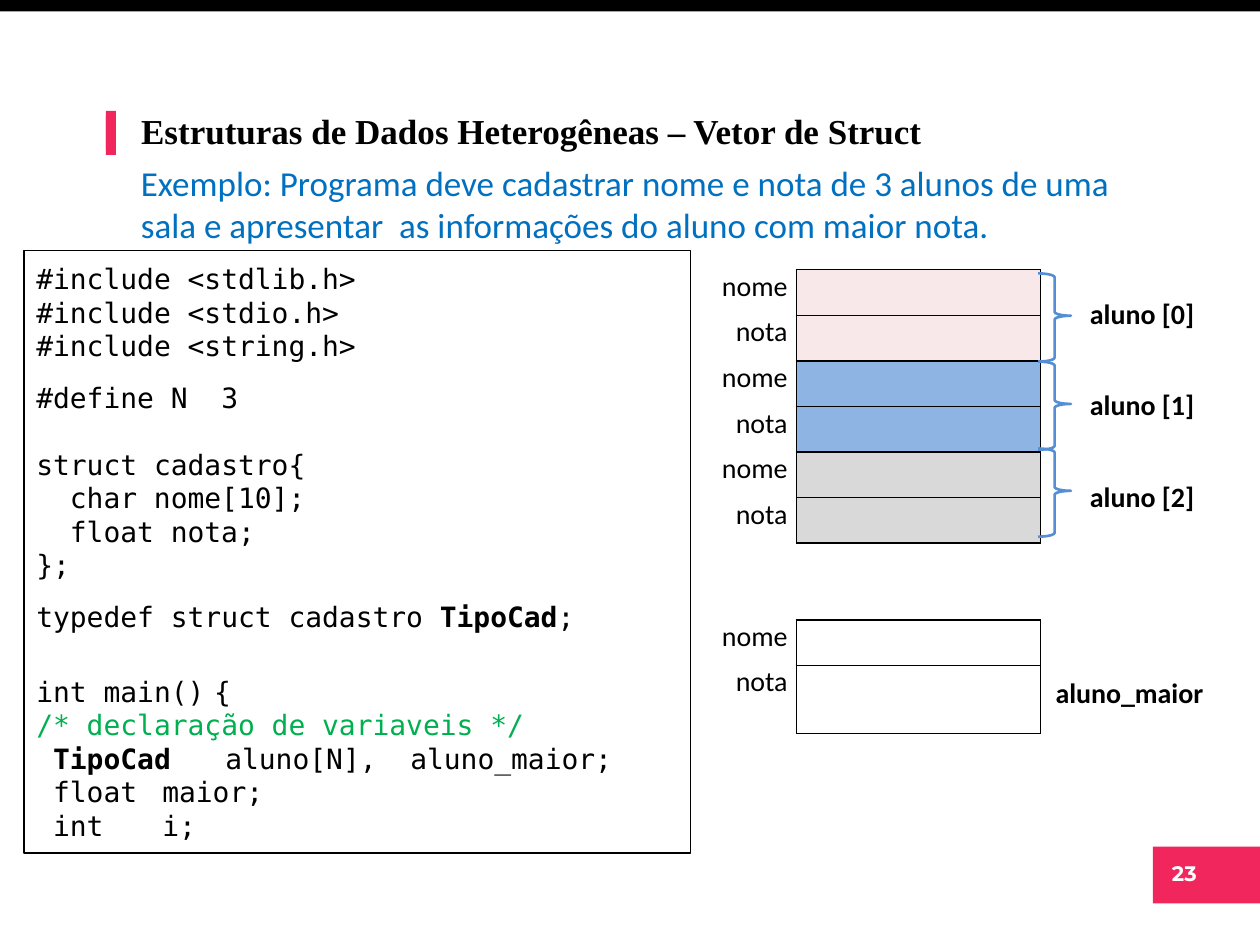
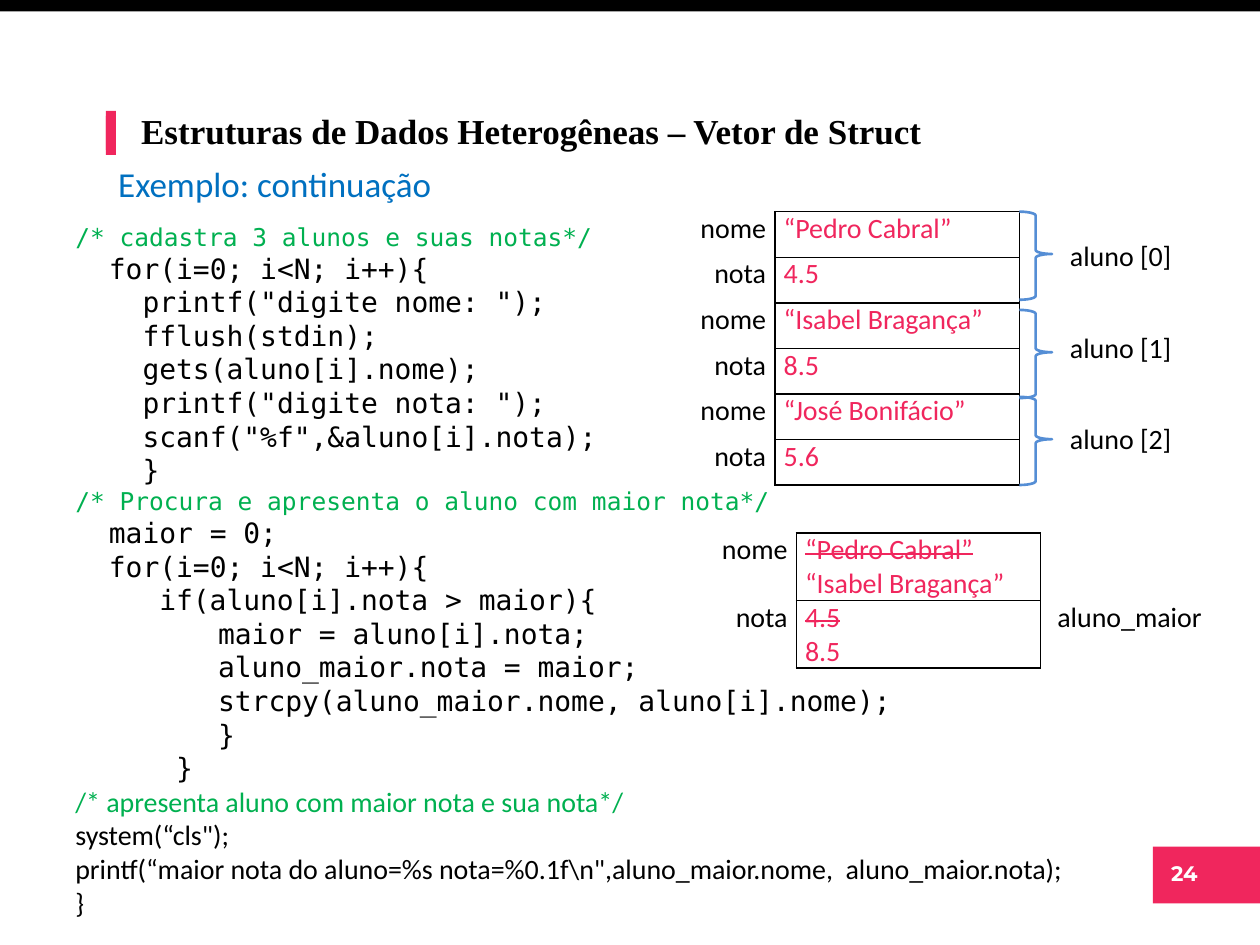
import dataclasses
import typing

import lxml.etree
import pptx
import pptx.dml.color
import pptx.enum.shapes
import pptx.enum.text
import pptx.oxml.ns
import pptx.util

ALIGN = pptx.enum.text.PP_ALIGN
ANCHOR = pptx.enum.text.MSO_ANCHOR
SHAPE = pptx.enum.shapes.MSO_SHAPE
COLORS = {
    "black": "000000", "white": "FFFFFF", "accent": "F0265D", "example": "0070C0",
    "comment": "00B050", "brace": "558ED5", "rose": "F9E8EA", "blue": "8EB4E3", "gray": "D9D9D9",
}
MONO, SANS, SERIF, NUMERAL = "DejaVu Sans Mono", "Calibri", "Times New Roman", "Montserrat"
TITLE = "Estruturas de Dados Heterogêneas – Vetor de Struct"
PLAIN_TABLE = "{2D5ABB26-0587-4C30-8999-92F81FD0307C}"
GRID_COLS, GRID_ROWS = 100, 75
SLIDE_WIDTH, SLIDE_HEIGHT = pptx.util.Inches(10), pptx.util.Inches(7.5)
CHAR_WIDTH = 0.6 * 16
DECLARATION_TAB = 10
FIELD_COLS = (8.4, 19.4, 14.1)
BRACE_COLS, BRACE_ROWS = 2.6, 7
SIDE_MARGIN, TAG_MARGIN, LINE_MARGIN = 0.7, 2.7, 2.7


@dataclasses.dataclass(frozen=True)
class Box:
    col: float
    row: float
    cols: float
    rows: float

    def place(self) -> tuple[int, int, int, int]:
        return across(self.col), down(self.row), across(self.cols), down(self.rows)


@dataclasses.dataclass(frozen=True)
class Style:
    font: str
    size: float = 16
    color: str = "black"
    bold: bool = False
    strike: bool = False


@dataclasses.dataclass(frozen=True)
class Piece:
    text: str
    style: Style


@dataclasses.dataclass(frozen=True)
class Line:
    pieces: tuple[Piece, ...]
    indent: float = 0
    gap: float = 0
    tab: float = 0


@dataclasses.dataclass(frozen=True)
class Record:
    tag: str
    name: tuple[Line, ...] = ()
    grade: tuple[Line, ...] = ()
    fill: str = ""


@dataclasses.dataclass(frozen=True)
class RecordTable:
    col: float
    row: float
    row_height: tuple[float, ...]
    records: tuple[Record, ...]
    tag_style: Style
    tag_lowered: bool = False


CODE = Style(MONO)
CODE_BOLD = Style(MONO, bold=True)
COMMENT = Style(MONO, color="comment")
SMALL_COMMENT = Style(MONO, 14, "comment")
LABEL = Style(SANS)
LABEL_BOLD = Style(SANS, bold=True)
VALUE = Style(SANS, color="accent")
OLD_VALUE = Style(SANS, color="accent", strike=True)
EXAMPLE = Style(SANS, 20, "example")


def across(cols: float) -> int:
    return round(SLIDE_WIDTH * cols / GRID_COLS)


def down(rows: float) -> int:
    return round(SLIDE_HEIGHT * rows / GRID_ROWS)


def rgb(name: str) -> pptx.dml.color.RGBColor:
    return pptx.dml.color.RGBColor.from_string(COLORS[name])


def line(text: str, style: Style = CODE, indent: float = 0, gap: float = 0) -> Line:
    return Line((Piece(text, style),), indent, gap)


def declaration(kind: str, names: str, style: Style = CODE) -> Line:
    pieces = (Piece(f" {kind}", style), Piece(f"\t{names}", CODE))
    return Line(pieces, tab=DECLARATION_TAB)


DECLARATIONS = (
    line("#include <stdlib.h>"),
    line("#include <stdio.h>"),
    line("#include <string.h>"),
    line("#define N  3", gap=10.5),
    line("struct cadastro{", gap=18.6),
    line("char nome[10];", indent=2),
    line("float nota;", indent=2),
    line("};"),
    Line((Piece("typedef struct cadastro ", CODE), Piece("TipoCad", CODE_BOLD), Piece(";", CODE)), gap=10.5),
    Line((Piece("int main()", CODE), Piece(" ", Style(MONO, 9)), Piece("{", CODE)), gap=23.3),
    line("/* declaração de variaveis */", COMMENT),
    declaration("TipoCad", "aluno[N],  aluno_maior;", CODE_BOLD),
    declaration("float", "maior;"),
    declaration("int", "i;"),
)
PROGRAM = (
    line("/* cadastra 3 alunos e suas notas*/", SMALL_COMMENT),
    line("for(i=0; i<N; i++){", indent=2),
    line('printf("digite nome: ");', indent=4),
    line("fflush(stdin);", indent=4),
    line("gets(aluno[i].nome);", indent=4),
    line('printf("digite nota: ");', indent=4),
    line('scanf("%f",&aluno[i].nota);', indent=4),
    line("}", indent=4),
    line("/* Procura e apresenta o aluno com maior nota*/", SMALL_COMMENT),
    line("maior = 0;", indent=2),
    line("for(i=0; i<N; i++){", indent=2),
    line("if(aluno[i].nota > maior){", indent=5),
    line("maior = aluno[i].nota;", indent=8.5),
    line("aluno_maior.nota = maior;", indent=8.5),
    line("strcpy(aluno_maior.nome, aluno[i].nome);", indent=8.5),
    line("}", indent=8.5),
    line("}", indent=6),
    line("/* apresenta aluno com maior nota e sua nota*/", Style(SANS, color="comment")),
    line('system(“cls");', LABEL),
    line('printf(“maior nota do aluno=%s nota=%0.1f\\n",aluno_maior.nome,  aluno_maior.nota);', LABEL),
    line("}", LABEL),
)
EMPTY_RECORDS = tuple(Record(f"aluno [{i}]", fill=fill) for i, fill in enumerate(("rose", "blue", "gray")))
STUDENTS = (("“Pedro Cabral”", "4.5"), ("“Isabel Bragança”", "8.5"), ("“José Bonifácio”", "5.6"))
FILLED_RECORDS = tuple(
    Record(f"aluno [{i}]", (line(name, VALUE),), (line(grade, VALUE),)) for i, (name, grade) in enumerate(STUDENTS)
)
BEST_RECORD = Record("aluno_maior", *(
    (line(old, OLD_VALUE), line(new, VALUE)) for old, new in zip(STUDENTS[0], STUDENTS[1])
))


def format_span(span: typing.Any, style: Style) -> None:
    span.font.name = style.font
    span.font.size = pptx.util.Pt(style.size)
    span.font.bold = style.bold
    span.font.color.rgb = rgb(style.color)
    if style.strike:
        span._r.get_or_add_rPr().set("strike", "sngStrike")


def write(frame: typing.Any, lines: tuple[Line, ...], align: typing.Any = ALIGN.LEFT) -> None:
    for index, item in enumerate(lines):
        para = frame.paragraphs[0] if index == 0 else frame.add_paragraph()
        para.alignment = align
        para.space_before = pptx.util.Pt(item.gap)
        properties = para._p.get_or_add_pPr()
        properties.set("marL", str(pptx.util.Pt(item.indent * CHAR_WIDTH)))
        properties.set("indent", "0")
        if item.tab:
            tabs = lxml.etree.SubElement(properties, pptx.oxml.ns.qn("a:tabLst"))
            stop = str(pptx.util.Pt(item.tab * CHAR_WIDTH))
            lxml.etree.SubElement(tabs, pptx.oxml.ns.qn("a:tab"), pos=stop, algn="l")
        for piece in item.pieces:
            span = para.add_run()
            span.text = piece.text
            format_span(span, piece.style)


def add_shape(page: typing.Any, kind: typing.Any, box: Box, fill: str = "", edge: str = "", width: float = 0) -> typing.Any:
    shape = page.shapes.add_shape(kind, *box.place())
    shape.shadow.inherit = False
    if fill:
        shape.fill.solid()
        shape.fill.fore_color.rgb = rgb(fill)
    else:
        shape.fill.background()
    if edge:
        shape.line.color.rgb = rgb(edge)
        shape.line.width = pptx.util.Pt(width)
    else:
        shape.line.fill.background()
    return shape


def add_text(page: typing.Any, box: Box, lines: tuple[Line, ...], anchor: typing.Any = ANCHOR.MIDDLE,
             align: typing.Any = ALIGN.LEFT, wrap: bool = True) -> None:
    frame = page.shapes.add_textbox(*box.place()).text_frame
    frame.word_wrap = wrap
    frame.vertical_anchor = anchor
    write(frame, lines, align)


def set_borders(cell: typing.Any, sides: str) -> None:
    properties = cell._tc.get_or_add_tcPr()
    for side in sides:
        edge = lxml.etree.SubElement(properties, pptx.oxml.ns.qn(f"a:ln{side}"), w=str(pptx.util.Pt(1)))
        paint = lxml.etree.SubElement(edge, pptx.oxml.ns.qn("a:solidFill"))
        lxml.etree.SubElement(paint, pptx.oxml.ns.qn("a:srgbClr"), val=COLORS["black"])


def add_records(page: typing.Any, plan: RecordTable) -> None:
    count = 2 * len(plan.records)
    box = Box(plan.col, plan.row, sum(FIELD_COLS), sum(plan.row_height) * len(plan.records))
    frame = page.shapes.add_table(count, len(FIELD_COLS), *box.place())
    table = frame.table
    table.first_row = table.horz_banding = False
    table._tbl.tblPr.find(pptx.oxml.ns.qn("a:tableStyleId")).text = PLAIN_TABLE
    for column, width in zip(table.columns, FIELD_COLS):
        column.width = across(width)
    for index in range(count):
        record = plan.records[index // 2]
        table.rows[index].height = down(plan.row_height[index % 2])
        cells = [table.cell(index, column) for column in range(len(FIELD_COLS))]
        for cell, sides in zip(cells, ("R", "LRTB", "L")):
            cell.margin_left = cell.margin_right = across(SIDE_MARGIN)
            cell.margin_top = cell.margin_bottom = 0
            set_borders(cell, sides)
            cell.fill.background()
        label, value, tag = cells
        write(label.text_frame, (line(("nome", "nota")[index % 2], LABEL),), ALIGN.RIGHT)
        write(value.text_frame, (record.name, record.grade)[index % 2], ALIGN.JUSTIFY)
        if record.fill:
            value.fill.solid()
            value.fill.fore_color.rgb = rgb(record.fill)
        if index % 2 == 0:
            tag.merge(table.cell(index + 1, 2))
            tag.vertical_anchor = ANCHOR.MIDDLE
            if plan.tag_lowered:
                tag.margin_top = down(LINE_MARGIN)
            else:
                tag.margin_left = across(TAG_MARGIN)
            write(tag.text_frame, (line(record.tag, plan.tag_style),), ALIGN.CENTER)


def add_braces(page: typing.Any, col: float, rows: tuple[float, ...]) -> None:
    for row in rows:
        brace = add_shape(page, SHAPE.RIGHT_BRACE, Box(col, row, BRACE_COLS, BRACE_ROWS), edge="brace", width=1.5)
        brace.adjustments[0], brace.adjustments[1] = 0.12, 0.48


def add_page(deck: typing.Any, number: int, example: str, example_box: Box) -> typing.Any:
    page = deck.slides.add_slide(deck.slide_layouts[5])
    add_shape(page, SHAPE.RECTANGLE, Box(0, 0, GRID_COLS, 0.9), "black")
    add_shape(page, SHAPE.RECTANGLE, Box(91.5, 67.2, 8.6, 4.5), "accent")
    for row in (9.2, 8.8):
        add_shape(page, SHAPE.RECTANGLE, Box(8.4, row, 0.8, 3.1), "accent")
    numeral = line(str(number), Style(NUMERAL, 12, "white", True))
    add_text(page, Box(91.6, 67.8, 4.8, 3), (numeral,), ANCHOR.TOP, ALIGN.CENTER, False)
    title = page.shapes.title
    title.left, title.top, title.width, title.height = Box(10.2, 8.2, 80, 4.3).place()
    frame = title.text_frame
    frame.text = TITLE
    frame.auto_size = pptx.enum.text.MSO_AUTO_SIZE.NONE
    frame.vertical_anchor = ANCHOR.MIDDLE
    frame.paragraphs[0].alignment = ALIGN.LEFT
    format_span(frame.paragraphs[0].runs[0], Style(SERIF, 20, bold=True))
    add_text(page, example_box, (line(example, EXAMPLE),), ANCHOR.BOTTOM)
    return page


def add_declaration_page(deck: typing.Any) -> None:
    example = ("Exemplo: Programa deve cadastrar nome e nota de 3 alunos de uma sala e apresentar"
               "  as informações do aluno com maior nota.")
    page = add_page(deck, 23, example, Box(10.2, 11.1, 83.3, 8.9))
    listing = add_shape(page, SHAPE.RECTANGLE, Box(1.9, 19.9, 52.9, 47.8), edge="black", width=0.75)
    listing.text_frame.vertical_anchor = ANCHOR.MIDDLE
    write(listing.text_frame, DECLARATIONS)
    add_records(page, RecordTable(54.8, 21.4, (3.62, 3.62), EMPTY_RECORDS, LABEL_BOLD))
    add_records(page, RecordTable(54.8, 49.2, (3.6, 5.4), (Record("aluno_maior"),), LABEL_BOLD, True))
    add_braces(page, 82.4, (21.7, 28.7, 35.6))


def add_program_page(deck: typing.Any) -> None:
    page = add_page(deck, 24, "Exemplo: continuação", Box(8.4, 12.5, 83.3, 4.2))
    add_text(page, Box(5, 16.8, 95, 56.9), PROGRAM)
    add_records(page, RecordTable(53.1, 16.8, (3.62, 3.62), FILLED_RECORDS, LABEL))
    add_braces(page, 80.9, (16.8, 24.6, 31.5))
    add_records(page, RecordTable(54.8, 42.3, (5.35, 5.35), (BEST_RECORD,), LABEL, True))


def main() -> None:
    deck = pptx.Presentation()
    deck.slide_width, deck.slide_height = SLIDE_WIDTH, SLIDE_HEIGHT
    add_declaration_page(deck)
    add_program_page(deck)
    deck.save("out.pptx")


if __name__ == "__main__":
    main()
